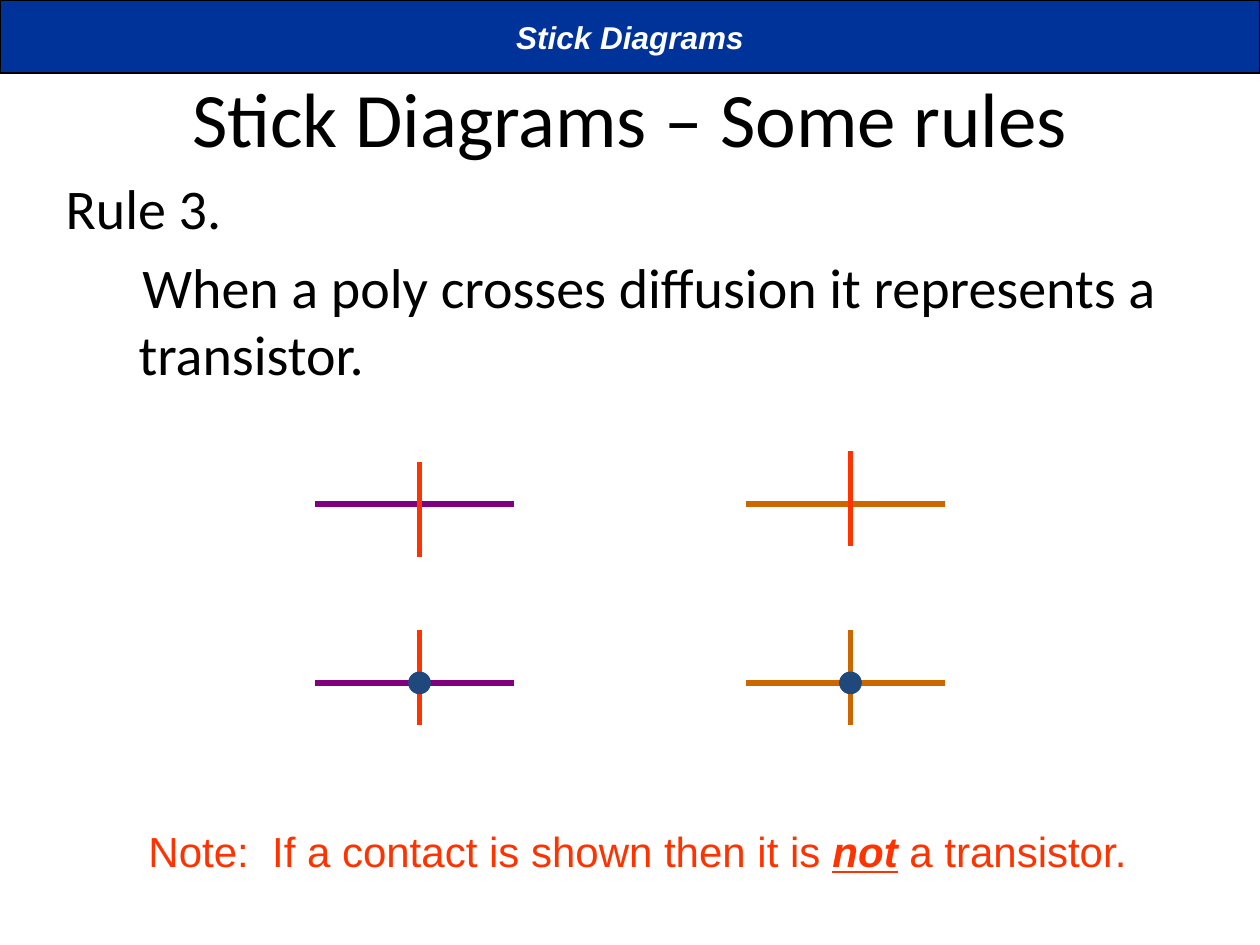
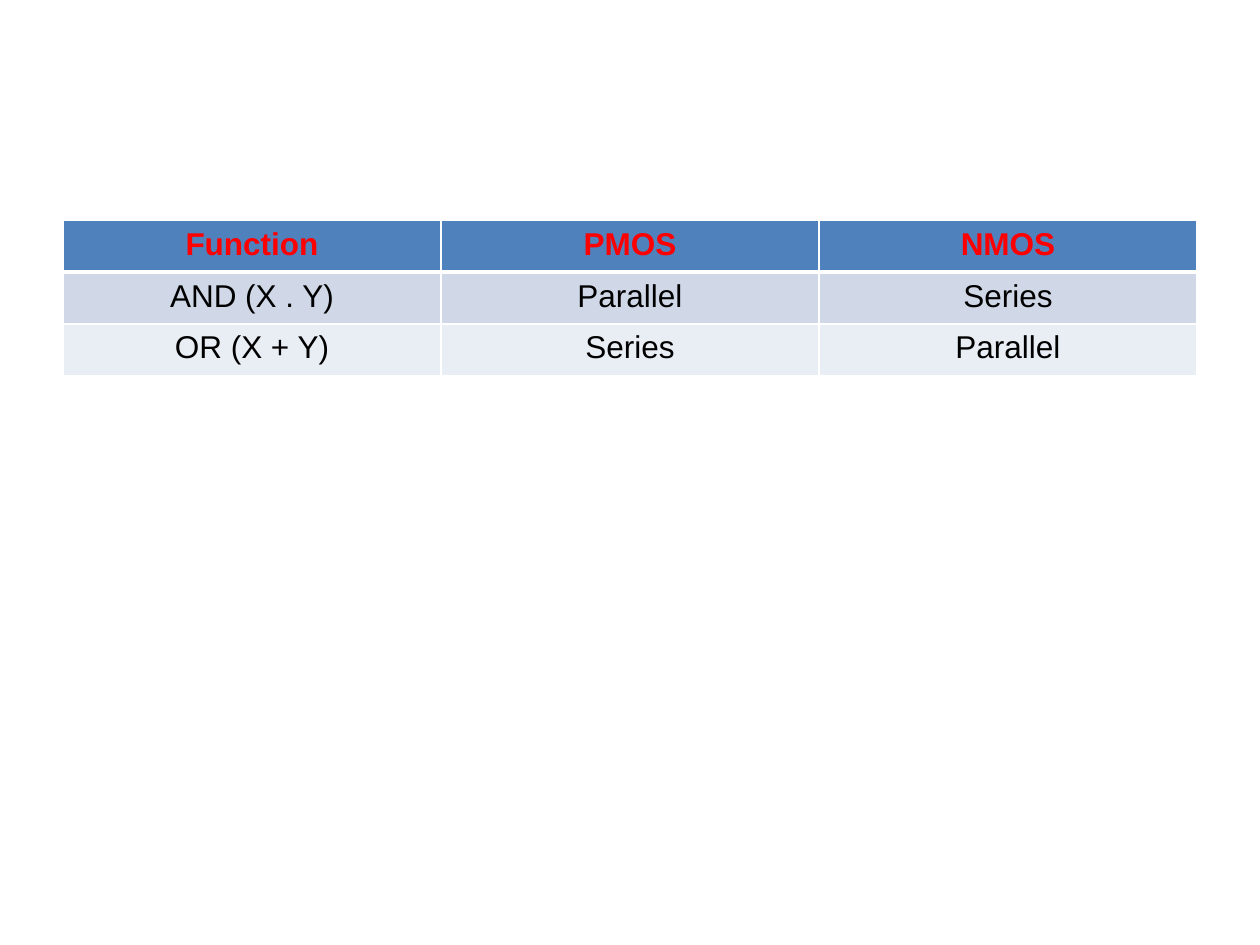
from lxml.etree import SubElement
from pptx import Presentation
from pptx.dml.color import RGBColor
from pptx.enum.shapes import MSO_CONNECTOR as Connector, MSO_SHAPE as Shape
from pptx.enum.text import MSO_ANCHOR as Anchor, MSO_AUTO_SIZE as AutoSize, PP_ALIGN as Align
from pptx.oxml.ns import qn
from pptx.util import Inches, Pt

COLORS = {
    "band": "003399", "white": "FFFFFF", "black": "000000",
    "poly": "FF3300", "p_diffusion": "800080", "n_diffusion": "CC6600",
    "contact": "1F497D", "header": "4F81BD", "header_text": "FF0000",
    "row_dark": "D0D8E8", "row_light": "E9EDF4",
}
TITLE_AND_BODY, BLANK = 1, 6


def color(name):
    """Return the named palette colour."""
    return RGBColor.from_string(COLORS[name])


def add_text(para, text, size=18, font="Arial", ink="black", align=None,
             bold=False, italic=False, underline=False):
    """Append a formatted run to a paragraph."""
    if align is not None:
        para.alignment = align
    span = para.add_run()
    span.text = text
    style = span.font
    style.size, style.name = Pt(size), font
    style.bold, style.italic, style.underline = bold, italic, underline
    style.color.rgb = color(ink)


def place(box, left, top, width, height):
    """Move and size a box, in inches."""
    box.left, box.top = Inches(left), Inches(top)
    box.width, box.height = Inches(width), Inches(height)


class SlideBuilder:
    """Holds the deck, the current slide and the shared style."""

    heading_font = "Calibri"

    def __init__(self):
        """Start an empty 4:3 deck."""
        self.deck = Presentation()
        self.deck.slide_width, self.deck.slide_height = Inches(10), Inches(7.5)
        self.page = None

    def new_page(self, layout):
        """Add a slide and make it current."""
        self.page = self.deck.slides.add_slide(self.deck.slide_layouts[layout])

    def title(self, text):
        """Fill the title placeholder."""
        box = self.page.shapes.title
        place(box, 0.5, 0.3, 9, 1.25)
        frame = box.text_frame
        frame.auto_size, frame.vertical_anchor = AutoSize.NONE, Anchor.MIDDLE
        add_text(frame.paragraphs[0], text, size=44, font=self.heading_font, align=Align.CENTER)

    def body(self, items):
        """Fill the body placeholder with (text, first-line indent) items, without bullets."""
        box = self.page.placeholders[1]
        place(box, 0.42, 1.33, 9, 1.83)
        frame = box.text_frame
        frame.auto_size = AutoSize.NONE
        for index, (text, indent) in enumerate(items):
            para = frame.add_paragraph() if index else frame.paragraphs[0]
            para.space_before = Pt(6.4)
            props = para._p.get_or_add_pPr()
            props.set("marL", str(Inches(0.58)))
            props.set("indent", str(Inches(indent)))
            SubElement(props, qn("a:buNone"))
            add_text(para, text, size=32, font=self.heading_font)

    def note(self, left, top, width, height, spans):
        """Add a one-line note from (text, format) spans."""
        box = self.page.shapes.add_textbox(
            Inches(left), Inches(top), Inches(width), Inches(height))
        box.text_frame.word_wrap = False
        for text, style in spans:
            add_text(box.text_frame.paragraphs[0], text, size=24, ink="poly", **style)

    def shape(self, kind, left, top, width, height, fill, line):
        """Add a filled and outlined preset shape."""
        box = self.page.shapes.add_shape(
            kind, Inches(left), Inches(top), Inches(width), Inches(height))
        box.shadow.inherit = False
        box.fill.solid()
        box.fill.fore_color.rgb = color(fill)
        box.line.color.rgb = color(line)
        box.line.width = Pt(0.75)
        return box

    def band(self, text):
        """Add the topic band across the top."""
        box = self.shape(Shape.RECTANGLE, 0, 0, 10, 0.58, "band", "black")
        frame = box.text_frame
        frame.word_wrap, frame.vertical_anchor = False, Anchor.MIDDLE
        add_text(frame.paragraphs[0], text, ink="white", bold=True, italic=True,
                 align=Align.CENTER)

    def stick(self, x1, y1, x2, y2, ink):
        """Add one thick stick."""
        line = self.page.shapes.add_connector(
            Connector.STRAIGHT, Inches(x1), Inches(y1), Inches(x2), Inches(y2))
        line.line.color.rgb = color(ink)
        line.line.width = Pt(3)
        SubElement(line._element.spPr, qn("a:effectLst"))

    def crossing(self, x, y, top, across, down, contact=False):
        """Cross two sticks at (x, y), with an optional contact dot."""
        self.stick(x - 0.83, y, x + 0.75, y, across)
        self.stick(x, top, x, top + 0.75, down)
        if contact:
            size = 0.17
            self.shape(Shape.OVAL, x - size / 2, y - size / 2, size, size, "contact", "contact")

    def border(self, cell, side, width):
        """Draw one white cell border."""
        line = SubElement(cell._tc.get_or_add_tcPr(), qn(f"a:ln{side}"), w=str(Pt(width)))
        fill = SubElement(line, qn("a:solidFill"))
        SubElement(fill, qn("a:srgbClr"), val=COLORS["white"])

    def table(self, left, top, column_width, row_height, rows):
        """Add a centred table with a header row and banded rows."""
        count = len(rows[0])
        table = self.page.shapes.add_table(
            len(rows), count, Inches(left), Inches(top),
            Inches(column_width * count), Inches(row_height * len(rows))).table
        for r, row in enumerate(rows):
            header = r == 0
            fill = "header" if header else ("row_light", "row_dark")[r % 2]
            for c, text in enumerate(row):
                cell = table.cell(r, c)
                for side in "LRTB":
                    # The rule under the header is shared by two rows.
                    thick = (r, side) in ((0, "B"), (1, "T"))
                    self.border(cell, side, 3 if thick else 1)
                cell.fill.solid()
                cell.fill.fore_color.rgb = color(fill)
                add_text(cell.text_frame.paragraphs[0], text, bold=header,
                         ink="header_text" if header else "black", align=Align.CENTER)


def rules_page(builder):
    """Build the page about poly crossing diffusion."""
    builder.new_page(TITLE_AND_BODY)
    builder.title("Stick Diagrams – Some rules")
    builder.body([
        ("Rule 3.", -0.58),
        ("When a poly crosses diffusion it represents a transistor.", 0.03),
    ])
    builder.note(1.08, 6.5, 7.98, 0.5, [
        ("Note:  If a contact is shown then it is ", {}),
        ("not", {"bold": True, "italic": True, "underline": True}),
        (" a transistor.", {}),
    ])
    left, right, upper, lower = 3.33, 6.75, 4, 5.42
    builder.crossing(left, upper, 3.67, "p_diffusion", "poly")
    builder.crossing(right, upper, 3.58, "n_diffusion", "poly")
    builder.crossing(left, lower, 5, "p_diffusion", "poly", contact=True)
    builder.crossing(right, lower, 5, "n_diffusion", "n_diffusion", contact=True)
    builder.band("Stick Diagrams")


def functions_page(builder):
    """Build the page comparing PMOS and NMOS networks."""
    builder.new_page(BLANK)
    builder.table(0.5, 1.75, 3, 0.41, [
        ("Function", "PMOS", "NMOS"),
        ("AND (X . Y)", "Parallel", "Series"),
        ("OR (X + Y)", "Series", "Parallel"),
    ])


builder = SlideBuilder()
rules_page(builder)
functions_page(builder)
builder.deck.save("out.pptx")
